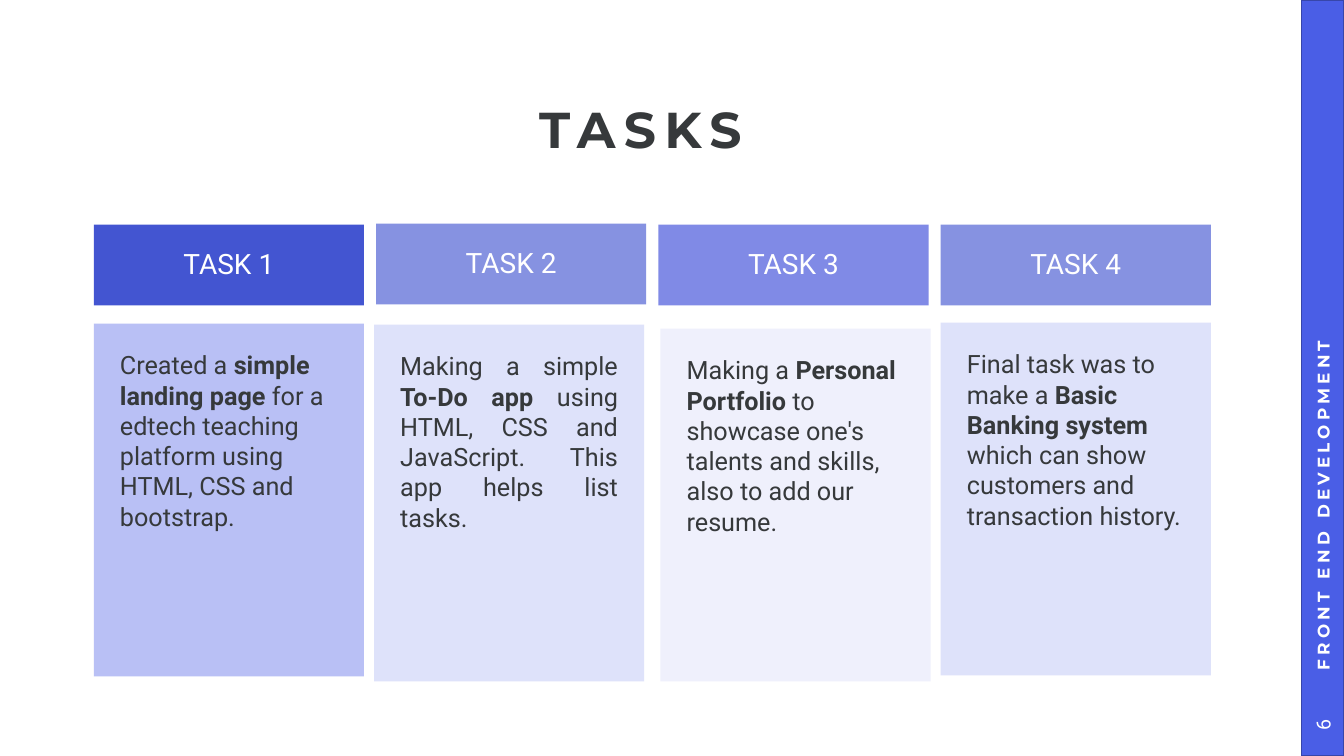
from lxml import etree
from pptx import Presentation
from pptx.dml.color import RGBColor
from pptx.enum.shapes import MSO_SHAPE
from pptx.enum.text import MSO_ANCHOR, MSO_AUTO_SIZE, PP_ALIGN
from pptx.oxml.ns import qn
from pptx.util import Inches, Pt

RECT = MSO_SHAPE.RECTANGLE
TOP, MID = MSO_ANCHOR.TOP, MSO_ANCHOR.MIDDLE
LEFT, CENTER, JUST = PP_ALIGN.LEFT, PP_ALIGN.CENTER, PP_ALIGN.JUSTIFY
FIXED = MSO_AUTO_SIZE.NONE

UNIT = 0.1
EDGE, PITCH, WIDE = 9.3, 28, 26.8

COLORS = {
    "ink": "36393B", "white": "FFFFFF", "bar": "4A5EE6", "rim": "3746AA",
    "royal": "4355D1", "navy": "1C32C8", "iris": "808AE6",
    "lilac": "929EF0", "sky": "B7BFF5", "mist": "DBDFFA",
}

STYLES = {
    "title": {"name": "Montserrat", "size": Pt(36), "bold": True},
    "head": {"name": "Roboto", "size": Pt(20), "bold": False},
    "body": {"name": "Roboto", "size": Pt(18), "bold": False},
    "side": {"name": "Montserrat", "size": Pt(12), "bold": True},
    "page": {"name": "Roboto", "size": Pt(14), "bold": False},
}

TASKS = [
    {"name": "TASK 1", "head": ("royal", 100), "body": ("lilac", 64),
     "top": 22.3, "card": (0, 32.1, 35), "align": LEFT,
     "text": ["Created a ", "simple landing page",
              " for a edtech teaching platform using HTML, CSS and bootstrap."]},
    {"name": "TASK 2", "head": ("navy", 53), "body": ("sky", 45),
     "top": 22.2, "card": (-0.2, 32.2, 35.4), "align": JUST,
     "text": ["Making a simple ", "To-Do app",
              " using HTML, CSS and JavaScript. This app helps list tasks."]},
    {"name": "TASK 3", "head": ("iris", 100), "body": ("mist", 44),
     "top": 22.3, "card": (0.2, 32.6, 35), "align": LEFT,
     "text": ["Making a ", "Personal Portfolio",
              " to showcase one's talents and skills, also to add our resume."]},
    {"name": "TASK 4", "head": ("navy", 53), "body": ("sky", 45),
     "top": 22.3, "card": (0, 32, 35), "align": LEFT,
     "text": ["Final task was to make a ", "Basic Banking system",
              " which can show customers and transaction history."]},
]


class Deck:
    def __init__(self):
        self.prs = Presentation()
        self.prs.slide_width = Inches(13.33)
        self.prs.slide_height = Inches(7.5)
        self.slide = self.prs.slides.add_slide(self.prs.slide_layouts[5])

    def grid(self, *cells):
        return [Inches(cell * UNIT) for cell in cells]

    def tint(self, name):
        return RGBColor.from_string(COLORS[name])

    def letter(self, shape, parts, style, color, align=LEFT, anchor=MID,
               pads=(1, 0.5, 1, 0.5), line=1.0, track=0):
        frame = shape.text_frame
        left, top, right, low = self.grid(*pads)
        box = {"word_wrap": True, "auto_size": FIXED, "vertical_anchor": anchor,
               "margin_left": left, "margin_top": top,
               "margin_right": right, "margin_bottom": low}
        for key, value in box.items():
            setattr(frame, key, value)
        para = frame.paragraphs[0]
        para.alignment, para.line_spacing = align, line
        for pos, part in enumerate(parts):
            run = para.add_run()
            run.text = part
            for key, value in STYLES[style].items():
                setattr(run.font, key, value)
            if pos % 2:
                run.font.bold = True
            run.font.color.rgb = self.tint(color)
            if track:
                run.font._element.set("spc", str(track * 100))

    def title(self, text, cells):
        shape = self.slide.shapes.title
        shape.left, shape.top, shape.width, shape.height = self.grid(*cells)
        self.letter(shape, [text], "title", "ink", CENTER,
                    pads=(0, 0, 0, 0), line=0.9, track=6)

    def block(self, cells, color, alpha=100, rim=None):
        shape = self.slide.shapes.add_shape(RECT, *self.grid(*cells))
        shape.shadow.inherit = False
        shape.fill.solid()
        shape.fill.fore_color.rgb = self.tint(color)
        if alpha < 100:
            fill = shape._element.spPr.find(qn("a:solidFill"))
            etree.SubElement(fill[0], qn("a:alpha"), val=str(alpha * 1000))
        if rim:
            shape.line.color.rgb = self.tint(rim)
            shape.line.width = Pt(1)
        else:
            shape.line.fill.background()
        return shape

    def label(self, text, cells, style, **look):
        shape = self.slide.shapes.add_textbox(*self.grid(*cells))
        shape.rotation = 270
        self.letter(shape, [text], style, "white", **look)

    def task(self, col, item):
        left = EDGE + col * PITCH
        head = self.block((left, item["top"], WIDE, 8), *item["head"])
        self.letter(head, [item["name"]], "head", "white", CENTER,
                    pads=(2.1,) * 4, line=0.9)
        shift, top, high = item["card"]
        card = self.block((left + shift, top, WIDE, high), *item["body"])
        self.letter(card, item["text"], "body", "ink", item["align"], TOP,
                    pads=(2.6,) * 4)


def main():
    deck = Deck()
    deck.block((129.1, 0, 4.2, 75), "bar", rim="rim")
    deck.title("TASKS ", (EDGE, 9.6, 110.7, 7.1))
    for col, item in enumerate(TASKS):
        deck.task(col, item)
    deck.label("FRONT END DEVELOPMENT", (96.8, 32.3, 68.8, 4.2), "side",
               pads=(2.3, 0.5, 1, 0.5), track=3)
    deck.label("6", (128.1, 69.8, 6.2, 4.2), "page", align=CENTER)
    deck.prs.save("out.pptx")


if __name__ == "__main__":
    main()
